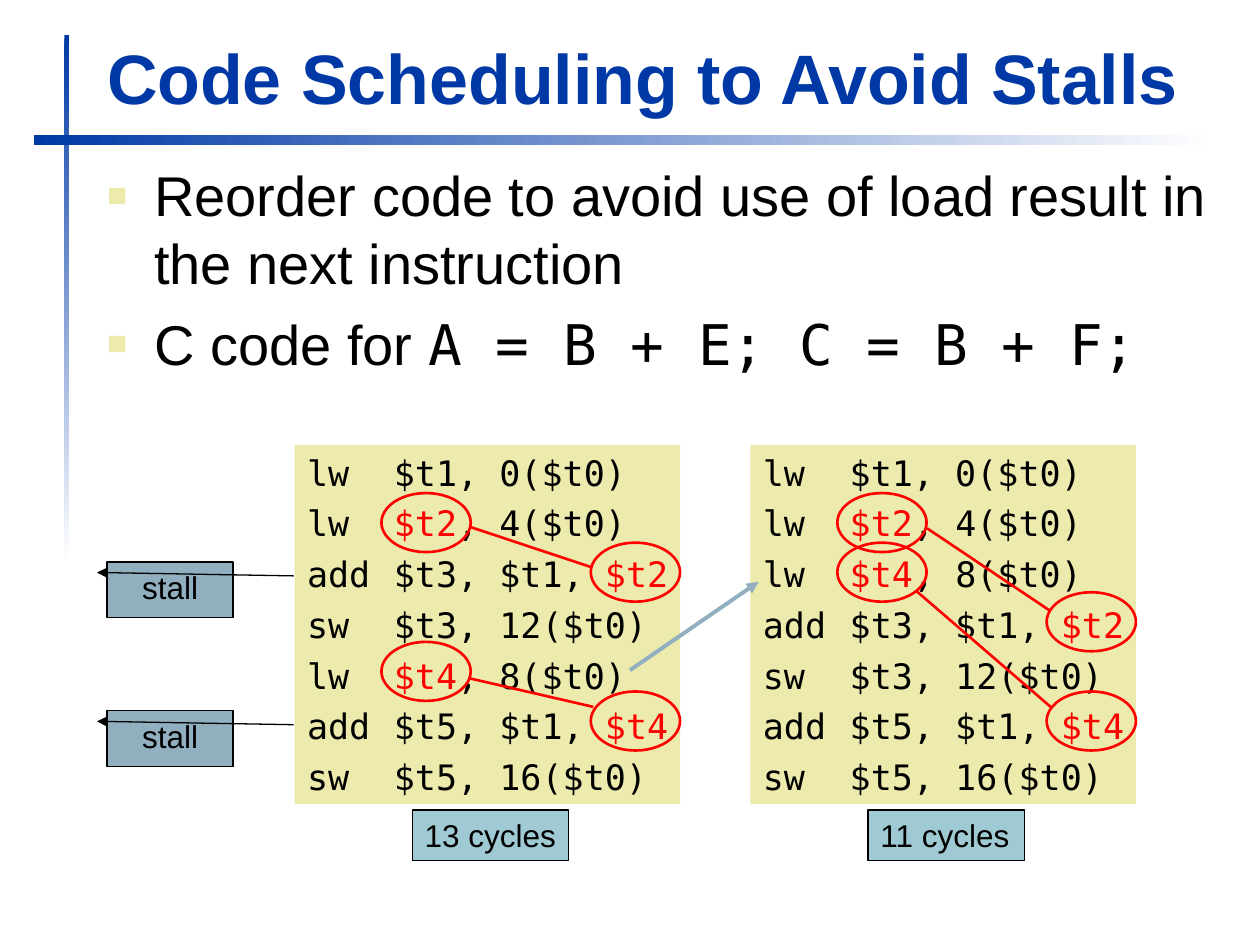
from lxml import etree
from pptx import Presentation
from pptx.dml.color import RGBColor
from pptx.enum import shapes as es, text as et
from pptx.oxml import ns
from pptx.util import Cm, Pt

BLUE, SAND, STEEL, TEAL = "0039A6", "ECEAAC", "91AFBF", "9FCAD3"
RED, BLACK, WHITE = "FF0000", "000000", "FFFFFF"
SANS, MONO = "Arial", "DejaVu Sans Mono"
KIND = es.MSO_SHAPE

ROW = 1.0            # distance between code rows, cm
TOP, LEFT, STEP = 8.97, 5.94, 9.19
WIDE, HIGH = 7.77, 7.24
RING_W, RING_H = 1.8, 1.19
RING_X = {"lw": 1.75, "add": 5.97}

# Asterisks enclose the ringed register of a row.
BEFORE = ["lw\t$t1, 0($t0)", "lw\t*$t2*, 4($t0)", "add\t$t3, $t1, *$t2*",
          "sw\t$t3, 12($t0)", "lw\t*$t4*, 8($t0)", "add\t$t5, $t1, *$t4*",
          "sw\t$t5, 16($t0)"]
AFTER = [BEFORE[i] for i in (0, 1, 4, 2, 3, 5, 6)]


def paint(code):
    return RGBColor.from_string(code)


def sub(node, tag, **attrs):
    return etree.SubElement(node, ns.qn(tag), attrs)


def style(font, size, face=SANS, color=BLACK, bold=None):
    font.size, font.name, font.bold = Pt(size), face, bold
    font.color.rgb = paint(color)


def frame(shape, wrap=True, anchor=et.MSO_ANCHOR.TOP):
    tf = shape.text_frame
    tf.word_wrap, tf.vertical_anchor = wrap, anchor
    return tf


def add_shape(slide, kind, x, y, w, h, fill=None, line=None, width=0.75):
    shape = slide.shapes.add_shape(kind, Cm(x), Cm(y), Cm(w), Cm(h))
    shape.shadow.inherit = False
    if fill:
        shape.fill.solid()
        shape.fill.fore_color.rgb = paint(fill)
    else:
        shape.fill.background()
    if line:
        shape.line.color.rgb = paint(line)
        shape.line.width = Pt(width)
    else:
        shape.line.fill.background()
    return shape


def add_line(slide, x1, y1, x2, y2, color, width):
    line = slide.shapes.add_connector(
        es.MSO_CONNECTOR.STRAIGHT, Cm(x1), Cm(y1), Cm(x2), Cm(y2))
    line.line.color.rgb = paint(color)
    line.line.width = Pt(width)
    sub(line._element.spPr, "a:effectLst")
    return line


def add_fade(slide, x, y, w, h, angle):
    """Bar that fades from blue to white; the angle is counter-clockwise."""
    bar = add_shape(slide, KIND.RECTANGLE, x, y, w, h)
    bar.fill.gradient()
    bar.fill.gradient_angle = angle
    for stop, color in zip(bar.fill.gradient_stops, (BLUE, WHITE)):
        stop.color.rgb = paint(color)


def add_title(slide, x, y, w, h):
    box = slide.shapes.add_textbox(Cm(x), Cm(y), Cm(w), Cm(h))
    para = frame(box, anchor=et.MSO_ANCHOR.BOTTOM).paragraphs[0]
    para.text = "Code Scheduling to Avoid Stalls"
    style(para.font, 40, color=BLUE, bold=True)


def add_body(slide, x, y, w, h):
    box = slide.shapes.add_textbox(Cm(x), Cm(y), Cm(w), Cm(h))
    tf = frame(box)
    items = [["Reorder code to avoid use of load result in the next instruction"],
             ["C code for ", "A = B + E; C = B + F;"]]
    for i, parts in enumerate(items):
        para = tf.add_paragraph() if i else tf.paragraphs[0]
        props = para._p.get_or_add_pPr()
        props.set("marL", str(Cm(0.95)))
        props.set("indent", str(-Cm(0.95)))
        sub(sub(props, "a:buClr"), "a:srgbClr", val=SAND)
        sub(props, "a:buSzPct", val="60000")
        sub(props, "a:buFont", typeface=SANS)
        sub(props, "a:buChar", char="■")
        if i:
            para.space_before = Pt(8)
        style(para.font, 32)
        for part, face in zip(parts, (SANS, MONO)):
            run = para.add_run()
            run.text, run.font.name = part, face


def add_code(slide, x, y, rows, links, cycles):
    """Code panel with ringed registers, links between them and a cycle count."""
    panel = add_shape(slide, KIND.RECTANGLE, x, y, WIDE, HIGH, SAND)
    tf = frame(panel, wrap=False)
    for i, row in enumerate(rows):
        para = tf.add_paragraph() if i else tf.paragraphs[0]
        para.alignment = et.PP_ALIGN.LEFT
        tabs = sub(para._p.get_or_add_pPr(), "a:tabLst")
        sub(tabs, "a:tab", pos=str(Cm(1.75)), algn="l")
        if i:
            para.space_before = Pt(5)
        style(para.font, 20, MONO)
        for j, part in enumerate(row.split("*")):
            if part:
                run = para.add_run()
                run.text = part
                run.font.color.rgb = paint(RED if j % 2 else BLACK)
        if "*" in row:
            add_shape(slide, KIND.OVAL, x + RING_X[row.split("\t")[0]],
                      y + i * ROW - 0.03, RING_W, RING_H, line=RED, width=1.5)
    for x1, y1, x2, y2 in links:
        add_line(slide, x + x1, y + y1, x + x2, y + y2, RED, 1.5)
    label = add_shape(slide, KIND.RECTANGLE, x + 2.37, y + 7.36, 3.15, 1.02,
                      TEAL, BLACK)
    para = frame(label, wrap=False).paragraphs[0]
    para.text, para.alignment = cycles, et.PP_ALIGN.LEFT
    style(para.font, 18)


def add_stall(slide, x, y):
    note = add_shape(slide, KIND.LINE_CALLOUT_1, x, y, 2.54, 1.12, STEEL, BLACK)
    for i, value in enumerate((0.19, -0.08, 0.25, 1.48)):
        note.adjustments[i] = value
    sub(note.line._get_or_add_ln(), "a:headEnd", type="triangle")
    para = frame(note).paragraphs[0]
    para.text, para.alignment = "stall", et.PP_ALIGN.CENTER
    style(para.font, 18)


def main():
    deck = Presentation()
    deck.slide_width, deck.slide_height = Cm(25.4), Cm(19.05)
    slide = deck.slides.add_slide(deck.slide_layouts[6])
    add_fade(slide, 1.3, 0.71, 0.1, 10.59, 270)
    add_fade(slide, 0.69, 2.72, 23.8, 0.2, 0)
    add_title(slide, 1.91, 0.41, 22.94, 2.11)
    add_body(slide, 1.91, 3.12, 22.96, 5.13)
    add_code(slide, LEFT, TOP, BEFORE,
             [(3.53, 1.65, 5.97, 2.46), (3.51, 4.7, 6.02, 5.28)], "13 cycles")
    add_code(slide, LEFT + STEP, TOP, AFTER,
             [(3.56, 1.68, 6.05, 3.35), (3.35, 2.95, 6.05, 5.28)], "11 cycles")
    for row in (2, 5):
        add_stall(slide, 2.16, TOP + row * ROW + 0.36)
    move = add_line(slide, 12.7, 13.51, 15.29, 11.73, STEEL, 2.25)
    sub(move.line._get_or_add_ln(), "a:tailEnd", type="triangle")
    deck.save("out.pptx")


if __name__ == "__main__":
    main()
